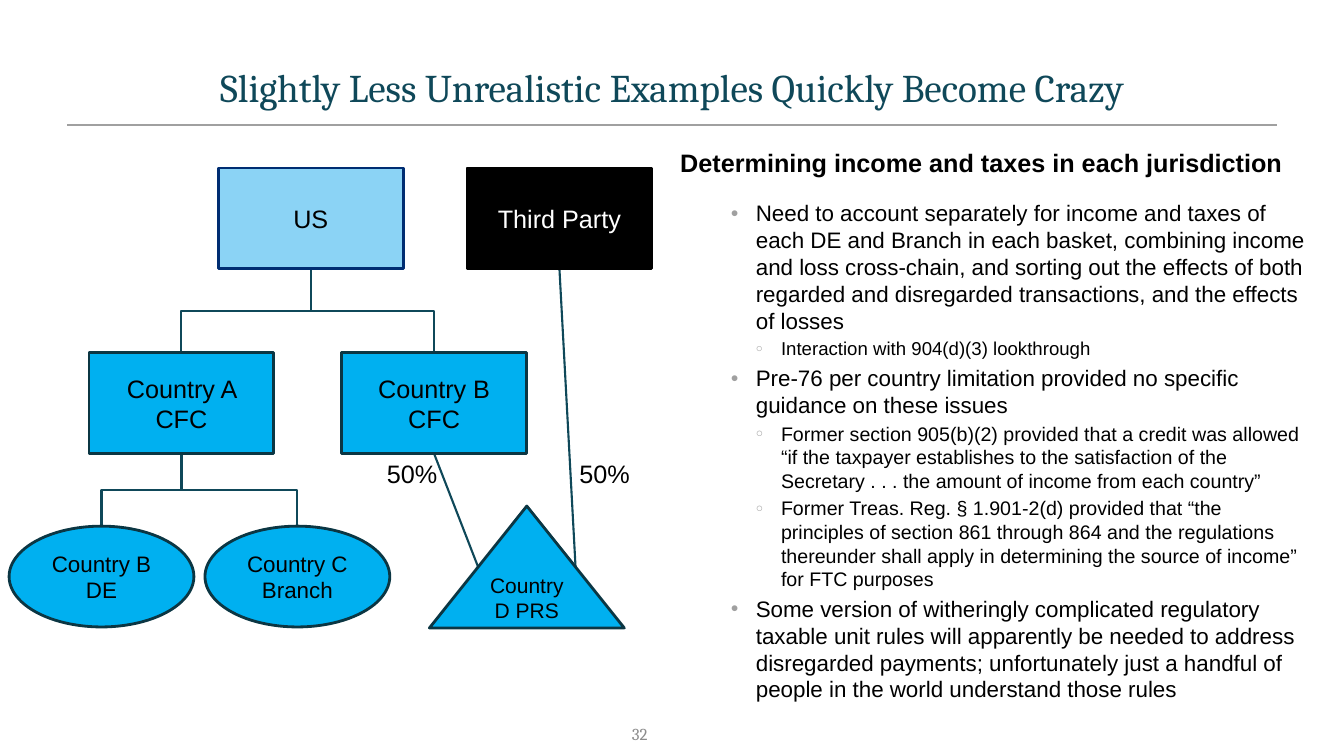
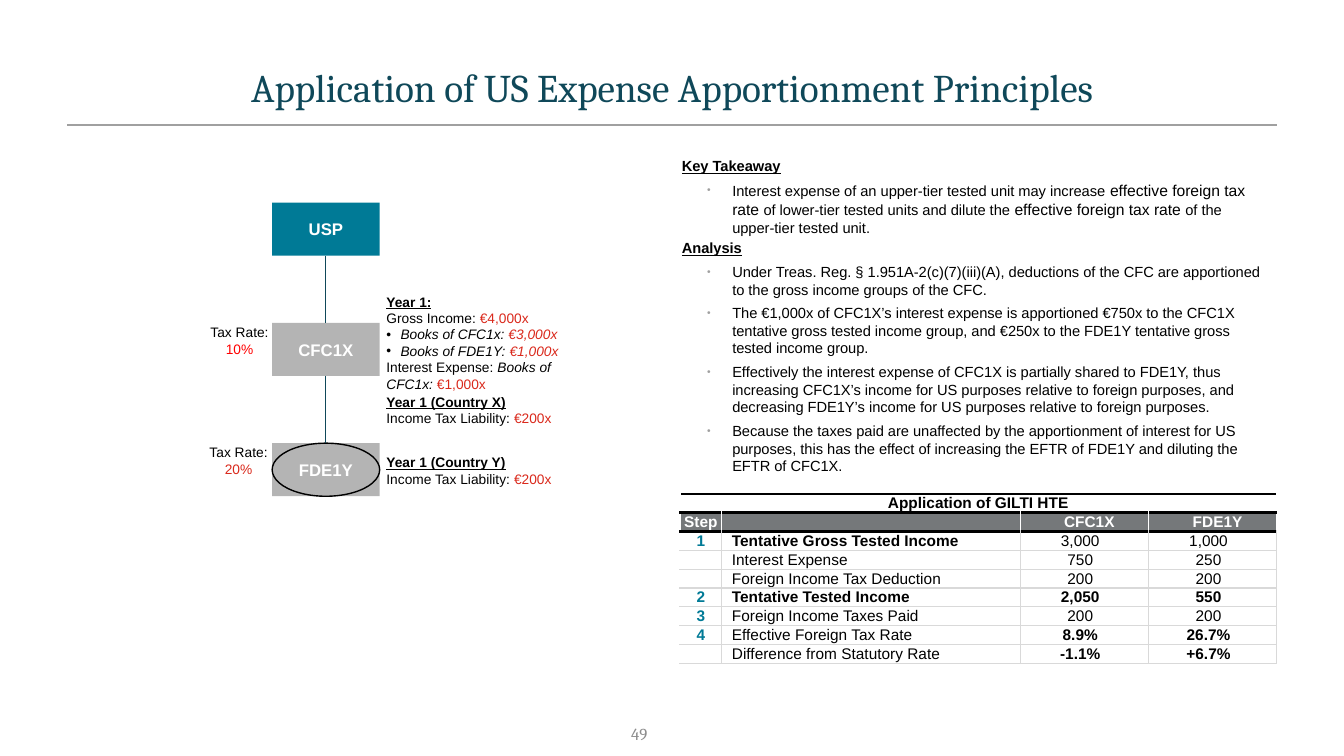
from dataclasses import dataclass
from lxml.etree import SubElement
from pptx import Presentation
from pptx.dml.color import RGBColor
from pptx.enum.shapes import MSO_CONNECTOR, MSO_SHAPE
from pptx.enum.text import MSO_ANCHOR, PP_ALIGN
from pptx.oxml.ns import qn
from pptx.util import Inches, Pt

CELL = Inches(1) // 3  # the page is a grid of 40 columns by 22.5 rows
TEAL, BLUE, NAVY, SKY = "0F4859", "00B0F0", "0B3643", "8BD3F5"
ACCENT, RED, BLACK, WHITE = "007A96", "DA291C", "000000", "FFFFFF"
RULE, ENTITY_GRAY, HEADER_GRAY, HAIRLINE = "A0A0A0", "B4B4B4", "75787A", "D9D9D9"
LEFT, CENTER, RIGHT = PP_ALIGN.LEFT, PP_ALIGN.CENTER, PP_ALIGN.RIGHT
INSET = (0.1, 0.05, 0.1, 0.05)
FLUSH = (0, 0, 0, 0)
PLAIN = dict(font="Arial", size=18, color=BLACK, bold=False, italic=False,
             underline=False, align=LEFT, before=0, after=0, line=None,
             indent=0, hang=0, bullet=None, bullet_color=None, bullet_size=100)
HEADING = dict(bold=True, underline=True)


@dataclass
class Box:
    """An area in grid cells."""
    x: float
    y: float
    w: float
    h: float

    def inner(self, x, y, w, h):
        return Box(self.x + x, self.y + y, w, h)

    def at(self, across, down):
        """The point at the given shares of the box."""
        return self.x + across * self.w, self.y + down * self.h

    def emu(self):
        return [cells(v) for v in (self.x, self.y, self.w, self.h)]


def cells(value):
    return round(value * CELL)


def rgb(color):
    return RGBColor.from_string(color)


def para(*runs, **style):
    """Runs are strings, or pairs of a string and the format it changes."""
    return runs, style


def add_bullet(paragraph, style):
    props = paragraph._p.get_or_add_pPr()
    props.set("marL", str(Inches(style["indent"])))
    props.set("indent", str(-Inches(style["hang"])))
    if style["bullet"]:
        if style["bullet_color"]:
            SubElement(SubElement(props, qn("a:buClr")), qn("a:srgbClr"), val=style["bullet_color"])
        SubElement(props, qn("a:buSzPct"), val=str(style["bullet_size"] * 1000))
        SubElement(props, qn("a:buFont"), typeface="Arial")
        SubElement(props, qn("a:buChar"), char=style["bullet"])


def write(frame, *paras, **base):
    """Fill a text frame; space before is given as a share of the text size."""
    for i, (runs, own) in enumerate(paras):
        style = {**PLAIN, **base, **own}
        paragraph = frame.paragraphs[0] if i == 0 else frame.add_paragraph()
        add_bullet(paragraph, style)
        paragraph.alignment = style["align"]
        paragraph.space_before = Pt(style["before"] * style["size"] if i else 0)
        paragraph.space_after = Pt(style["after"])
        if style["line"]:
            paragraph.line_spacing = Pt(style["line"])
        for item in runs:
            words, change = (item, {}) if isinstance(item, str) else item
            look = {**style, **change}
            run = paragraph.add_run()
            run.text = words
            run.font.name, run.font.size = look["font"], Pt(look["size"])
            run.font.bold, run.font.italic = look["bold"], look["italic"]
            run.font.underline = look["underline"]
            run.font.color.rgb = rgb(look["color"])
        if not runs:
            paragraph._p.get_or_add_endParaRPr().set("sz", str(style["size"] * 100))


def prepare(frame, inset, anchor):
    frame.word_wrap = True
    frame.vertical_anchor = anchor
    (frame.margin_left, frame.margin_top,
     frame.margin_right, frame.margin_bottom) = map(Inches, inset)


def add_text(slide, box, *paras, inset=INSET, anchor=MSO_ANCHOR.TOP, **base):
    frame = slide.shapes.add_textbox(*box.emu()).text_frame
    prepare(frame, inset, anchor)
    write(frame, *paras, **base)


def add_node(slide, kind, box, label="", fill=BLUE, line=NAVY, weight=2, **base):
    node = slide.shapes.add_shape(kind, *box.emu())
    node.shadow.inherit = False
    node.fill.solid()
    node.fill.fore_color.rgb = rgb(fill)
    if line:
        node.line.color.rgb = rgb(line)
        node.line.width = Pt(weight)
    else:
        node.line.fill.background()
    if label:
        prepare(node.text_frame, INSET, MSO_ANCHOR.MIDDLE)
        write(node.text_frame, para(label), align=CENTER, **base)


def add_line(slide, start, end, color=TEAL, weight=1.5, kind=MSO_CONNECTOR.STRAIGHT):
    line = slide.shapes.add_connector(kind, *map(cells, (*start, *end)))
    line.line.color.rgb = rgb(color)
    line.line.width = Pt(weight)
    SubElement(line._element.spPr, qn("a:effectLst"))
    return line


def add_branch(slide, start, end):
    """An elbow that leaves downwards: a horizontal one, turned about its middle."""
    (x1, y1), (x2, y2) = start, end
    mid_x, mid_y = (x1 + x2) / 2, (y1 + y2) / 2
    half_w, half_h = (y2 - y1) / 2, abs(x2 - x1) / 2
    elbow = add_line(slide, (mid_x - half_w, mid_y - half_h),
                     (mid_x + half_w, mid_y + half_h), kind=MSO_CONNECTOR.ELBOW)
    frame = elbow._element.spPr.xfrm
    frame.rot = 90 if x2 < x1 else 270
    frame.flipH = x2 > x1


def new_slide(deck, title, number):
    slide = deck.slides.add_slide(deck.slide_layouts[6])
    add_line(slide, (2, 3.72), (38, 3.72), RULE, 1)
    add_text(slide, Box(2, 1.75, 36, 2), para(title), font="Cambria", size=28,
             color=TEAL, align=CENTER)
    add_text(slide, Box(17.52, 21.6, 1.75, 0.5), para(number), font="Cambria", size=12,
             color="8C8C8C", align=RIGHT, anchor=MSO_ANCHOR.MIDDLE, inset=(0.1, 0.05, 0, 0.05))
    return slide


def ownership_chart(slide, area):
    us, third, cfc_a, cfc_b, de, branch = (
        area.inner(x, y, 5.5, 3) for x, y in
        ((6.5, 0), (13.9, 0), (2.65, 5.5), (10.17, 5.5), (0.27, 10.66), (6.1, 10.66)))
    prs = area.inner(12.78, 10.06, 5.8, 3.63)
    for parent, child in ((us, cfc_a), (us, cfc_b), (cfc_a, de), (cfc_a, branch)):
        add_branch(slide, parent.at(0.5, 1), child.at(0.5, 0))
    for owner, side in ((cfc_b, 0.25), (third, 0.75)):
        add_line(slide, owner.at(0.5, 1), prs.at(side, 0.5))
    rect, oval = MSO_SHAPE.RECTANGLE, MSO_SHAPE.OVAL
    add_node(slide, rect, us, "US", SKY, "002D72")
    add_node(slide, rect, third, "Third Party", BLACK, BLACK, color=WHITE)
    add_node(slide, rect, cfc_a, "Country A CFC")
    add_node(slide, rect, cfc_b, "Country B CFC")
    add_node(slide, oval, de, "Country B DE", size=16)
    add_node(slide, oval, branch, "Country C Branch", size=16)
    add_node(slide, MSO_SHAPE.ISOSCELES_TRIANGLE, prs, "Country D PRS", size=15)
    for x in (11.22, 16.95):
        add_text(slide, area.inner(x, 8.5, 2.15, 1.2), para("50%"))


def jurisdiction_notes(slide, area):
    def point(words):
        return para(words, size=16, indent=0.75, bullet="●", bullet_size=60)

    def detail(words, size=14):
        return para(words, size=size, indent=1, bullet="○", bullet_size=62)

    add_text(
        slide, area,
        para("Determining income and taxes in each jurisdiction", bold=True, after=12, hang=0),
        point("Need to account separately for income and taxes of each DE and Branch in each "
              "basket, combining income and loss cross-chain, and sorting out the effects of both "
              "regarded and disregarded transactions, and the effects of losses"),
        detail("Interaction with 904(d)(3) lookthrough", 13.3),
        point("Pre-76 per country limitation provided no specific guidance on these issues"),
        detail("Former section 905(b)(2) provided that a credit was allowed “if the taxpayer "
               "establishes to the satisfaction of the Secretary . . . the amount of income from "
               "each country”"),
        detail("Former Treas. Reg. § 1.901-2(d) provided that “the principles of section 861 "
               "through 864 and the regulations thereunder shall apply in determining the source "
               "of income” for FTC purposes"),
        point("Some version of witheringly complicated regulatory taxable unit rules will "
              "apparently be needed to address disregarded payments; unfortunately just a handful "
              "of people in the world understand those rules"),
        before=0.2, hang=0.25, bullet_color=RULE)


def tested_unit_chart(slide, area):
    usp, cfc, fde = tiers = [area.inner(2.3, 3.58 * i, 3.2, 1.58) for i in range(3)]
    label = dict(line=None, size=12, bold=True, color=WHITE)
    add_node(slide, MSO_SHAPE.RECTANGLE, usp, "USP", ACCENT, **label)
    add_node(slide, MSO_SHAPE.RECTANGLE, cfc, "CFC1X", ENTITY_GRAY, **label)
    add_node(slide, MSO_SHAPE.RECTANGLE, fde, fill=ENTITY_GRAY, line=None)
    add_node(slide, MSO_SHAPE.OVAL, fde, "FDE1Y", ENTITY_GRAY,
             **{**label, "line": BLACK, "weight": 1})
    for upper, lower in zip(tiers, tiers[1:]):
        add_line(slide, upper.at(0.5, 1), lower.at(0.5, 0), weight=0.75)

    def amount(words, color=RED):
        return words, dict(color=color, italic=False)

    def caption(x, y, w, h, *paras, **base):
        add_text(slide, area.inner(x, y, w, h), *paras, inset=FLUSH, size=9.8, **base)

    caption(0, 3.62, 2.66, 1, para("Tax Rate: ", amount("10%", "FF0000")), align=CENTER)
    caption(0.05, 7.18, 2.5, 1, para("Tax Rate: ", amount("20%")), align=CENTER)
    books = dict(italic=True)
    item = dict(indent=0.14, hang=0.14, bullet="•", color=RED, italic=True)
    caption(5.7, 2.7, 5.8, 2.95,
            para("Year 1:", **HEADING),
            para("Gross Income: ", amount("€4,000x")),
            para(("Books of CFC1x: ", dict(color=BLACK)), "€3,000x", **item),
            para(("Books of FDE1Y:", dict(color=BLACK)), " €1,000x", **item),
            para("Interest Expense: ", ("Books of CFC1x: ", books), amount("€1,000x")))
    for y, country in ((5.68, "X"), (7.48, "Y")):
        caption(5.7, y, 5.8, 1, para(f"Year 1 (Country {country})", **HEADING),
                para("Income Tax Liability: ", amount("€200x")))


def takeaway_notes(slide, area):
    def point(*runs):
        return para(*runs, before=0.2, indent=0.5, hang=0.25, bullet="•",
                    bullet_color=RULE, bullet_size=70)

    rate = ("effective foreign tax rate ", dict(size=11.2))
    add_text(
        slide, area,
        para("Key Takeaway", **HEADING),
        point("Interest expense of an upper-tier tested unit may increase ", rate,
              "of lower-tier tested units and dilute the ", rate, "of the upper-tier tested unit."),
        para("Analysis", **HEADING),
        point("Under Treas. Reg. § 1.951A-2(c)(7)(iii)(A), deductions of the CFC are apportioned "
              "to the gross income groups of the CFC."),
        point("The €1,000x of CFC1X’s interest expense is apportioned €750x to the CFC1X tentative "
              "gross tested income group, and €250x to the FDE1Y tentative gross tested income "
              "group."),
        point("Effectively the interest expense of CFC1X is partially shared to FDE1Y, thus "
              "increasing CFC1X’s income for US purposes relative to foreign purposes, and "
              "decreasing FDE1Y’s income for US purposes relative to foreign purposes."),
        point("Because the taxes paid are unaffected by the apportionment of interest for US "
              "purposes, this has the effect of increasing the EFTR of FDE1Y and diluting the "
              "EFTR of CFC1X."),
        size=10.5, after=2.2)


def add_borders(cell, **sides):
    for side, (color, weight) in sides.items():
        line = SubElement(cell._tc.get_or_add_tcPr(), qn(f"a:ln{side}"), w=str(Pt(weight)))
        SubElement(SubElement(line, qn("a:solidFill")), qn("a:srgbClr"), val=color)


def exemption_table(slide, area):
    rows = (("Application of GILTI HTE", "", "", ""),
            ("Step", "", "CFC1X", "FDE1Y"),
            ("1", "Tentative Gross Tested Income", "3,000", "1,000"),
            ("", "Interest Expense", "750", "250"),
            ("", "Foreign Income Tax Deduction", "200", "200"),
            ("2", "Tentative Tested Income", "2,050", "550"),
            ("3", "Foreign Income Taxes Paid", "200", "200"),
            ("4", "Effective Foreign Tax Rate", "8.9%", "26.7%"),
            ("", "Difference from Statutory Rate", "-1.1%", "+6.7%"))
    bold_names, bold_figures = (2, 5), (5, 7, 8)
    thick, thin = (BLACK, 2.25), (HAIRLINE, 1)
    table = slide.shapes.add_table(len(rows), 4, *area.emu()).table
    table.first_row = table.horz_banding = False
    for column, share in zip(table.columns, (0.07, 0.5, 0.215, 0.215)):
        column.width = cells(area.w * share)
    for r, row in enumerate(rows):
        table.rows[r].height = cells(area.h / len(rows))
        for c, words in enumerate(row):
            cell, header = table.cell(r, c), r < 2
            sides = {} if header else dict(L=thin, R=thin)
            if c == 0:
                sides.pop("L", None)
            add_borders(cell, **sides, T=thick if r < 3 else thin, B=thick if header else thin)
            cell.fill.solid()
            cell.fill.fore_color.rgb = rgb(HEADER_GRAY if r == 1 else WHITE)
            cell.vertical_anchor = MSO_ANCHOR.MIDDLE
            cell.margin_top = cell.margin_bottom = 0
            cell.margin_left = Inches(0.1 if c == 1 or (r == 1 and c > 1) else 0)
            cell.margin_right = Inches(0.08 if c > 1 and not header else 0)
            step = c == 0 and not header
            write(cell.text_frame, para(*([words] if words else [])), size=11, line=12.5,
                  align=LEFT if c == 1 else CENTER,
                  color=WHITE if r == 1 else ACCENT if step else BLACK,
                  bold=header or step or r in (bold_names if c == 1 else bold_figures))
    table.cell(0, 0).merge(table.cell(0, 3))


def main():
    deck = Presentation()
    deck.slide_width, deck.slide_height = cells(40), cells(22.5)
    crazy = new_slide(deck, "Slightly Less Unrealistic Examples Quickly Become Crazy", "32")
    ownership_chart(crazy, Box(0, 5, 20, 14))
    jurisdiction_notes(crazy, Box(19.95, 4.25, 19.3, 16))
    apportionment = new_slide(deck, "Application of US Expense Apportionment Principles", "49")
    takeaway_notes(apportionment, Box(20, 4.53, 18, 9.63))
    tested_unit_chart(apportionment, Box(5.8, 6.03, 12, 9))
    exemption_table(apportionment, Box(20.24, 14.7, 17.76, 5.04))
    deck.save("out.pptx")


if __name__ == "__main__":
    main()
